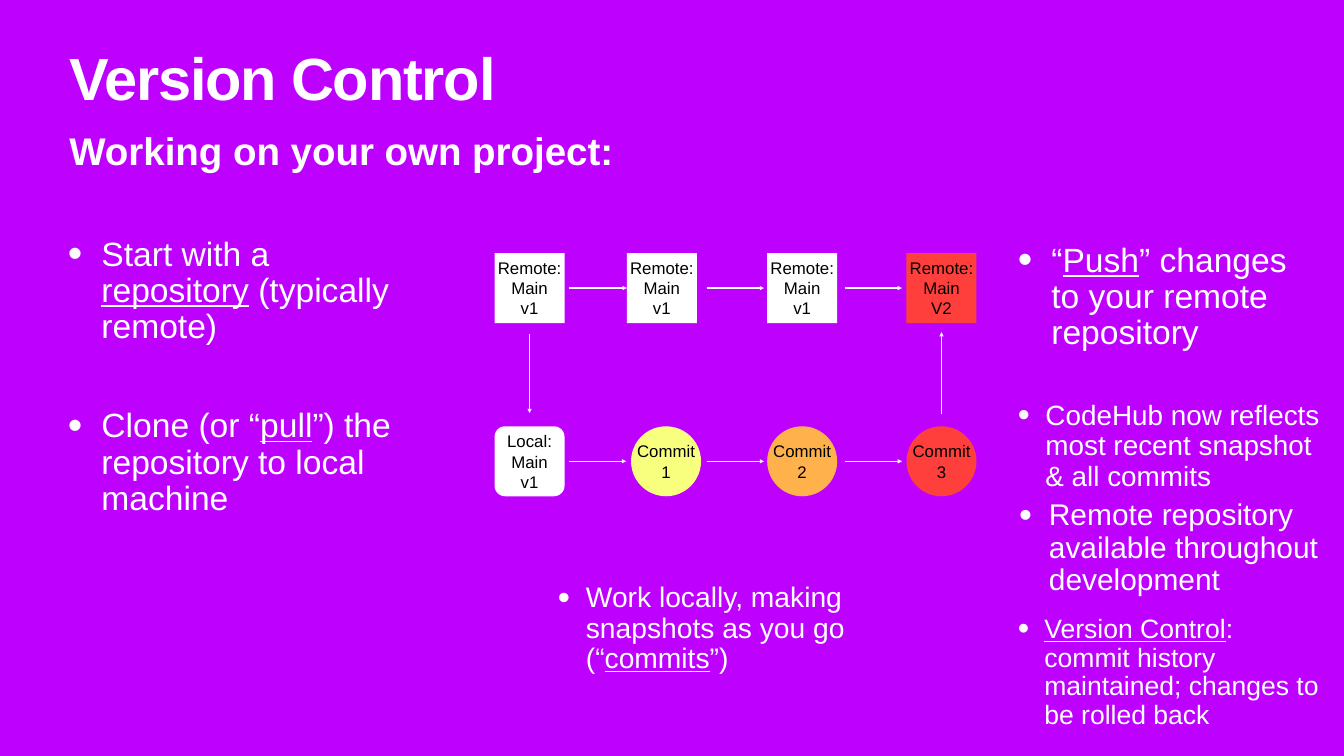
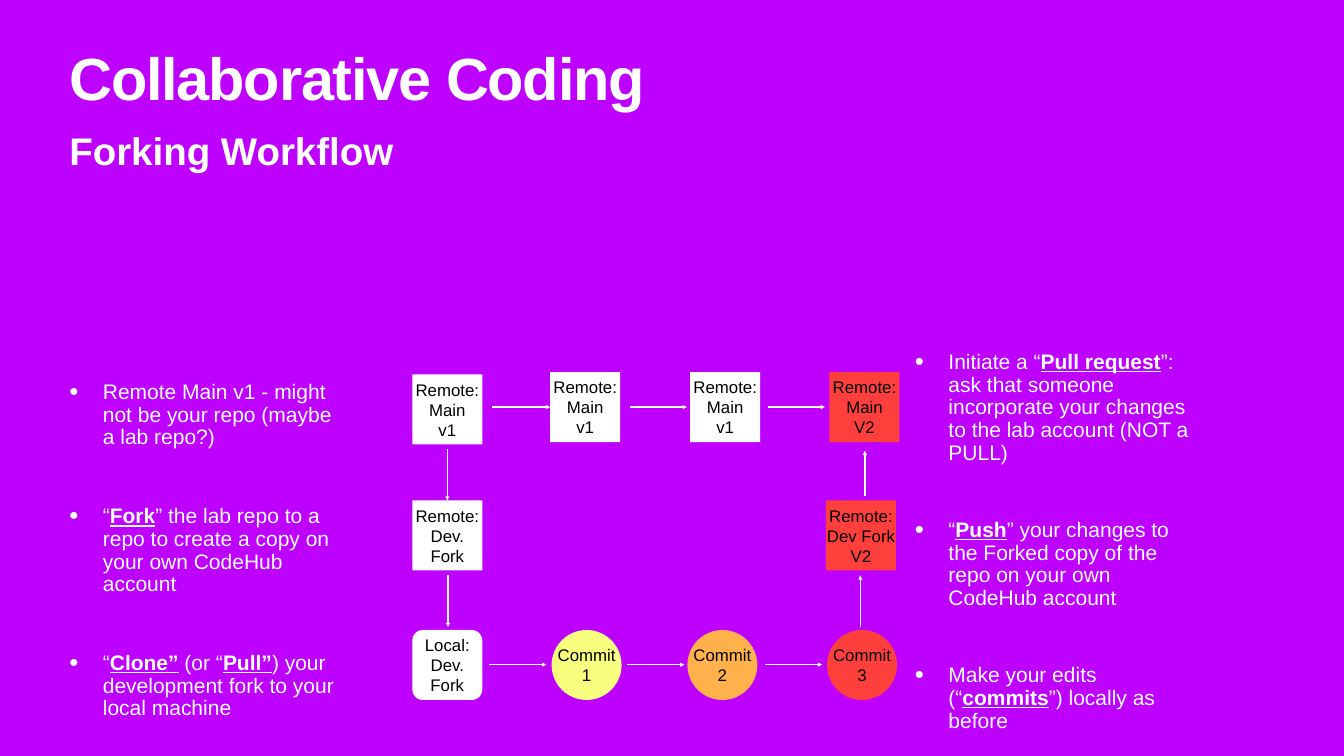
import pptx
import pptx.util
from lxml import etree
from pptx.dml.color import RGBColor
from pptx.enum.shapes import MSO_CONNECTOR, MSO_SHAPE
from pptx.enum.text import MSO_ANCHOR, PP_ALIGN
from pptx.oxml.ns import qn

Pt = pptx.util.Pt

PURPLE = RGBColor(0xBE, 0x00, 0xFF)
WHITE = RGBColor(0xFF, 0xFF, 0xFF)
BLACK = RGBColor(0x00, 0x00, 0x00)
YELLOW = RGBColor(0xF8, 0xFF, 0x7F)
ORANGE = RGBColor(0xFF, 0xB1, 0x4C)
RED = RGBColor(0xFF, 0x3F, 0x3C)
FONT = "Arial"
INSET = Pt(4)
NODE_SIZE = 100
ARROW_LENGTH = 81.5
ARROW_PITCH = 197

SQUARE = MSO_SHAPE.RECTANGLE
ROUNDED = MSO_SHAPE.ROUNDED_RECTANGLE
CIRCLE = MSO_SHAPE.OVAL


def set_font(paragraph, size, color, bold=False):
    paragraph.font.name = FONT
    paragraph.font.size = Pt(size)
    paragraph.font.bold = bold
    paragraph.font.color.rgb = color


def set_frame(frame, wrap=True, anchor=MSO_ANCHOR.TOP):
    frame.word_wrap = wrap
    frame.vertical_anchor = anchor
    frame.margin_left = frame.margin_right = INSET
    frame.margin_top = frame.margin_bottom = INSET


# Content. Nodes: shape, left, top, fill, label.
# Row arrows: first left, y, index of the node the first arrow touches.
# Vertical arrows: x, from y, to y, index of the node it touches.
# Notes: left, top, width, height, size, indent, gap, paragraphs;
# underscores enclose the underlined key terms.
lessons = [
    {
        "title": "Version Control",
        "subtitle": "Working on your own project:",
        "nodes": [
            (SQUARE, 706.5, 361.5, WHITE, "Remote:\nMain\nv1"),
            (SQUARE, 895.5, 361.5, WHITE, "Remote:\nMain\nv1"),
            (SQUARE, 1096, 361.5, WHITE, "Remote:\nMain\nv1"),
            (SQUARE, 1295, 361.5, RED, "Remote:\nMain\nV2"),
            (ROUNDED, 706.5, 609, WHITE, "Local:\nMain\nv1"),
            (CIRCLE, 901.5, 609, YELLOW, "Commit\n1"),
            (CIRCLE, 1096, 609, ORANGE, "Commit\n2"),
            (CIRCLE, 1295, 609, RED, "Commit\n3"),
        ],
        "row_arrows": [(813, 411.5, 1), (813, 659, None)],
        "vertical_arrows": [(756.5, 477, 590, None), (1345, 592, 474.5, None)],
        "bold_terms": False,
        "notes": [
            (93, 335, 515, 194, 48, 48, 0,
             ["Start with a _repository_ (typically remote)"]),
            (93, 580, 515, 166, 48, 48, 0,
             ["Clone (or “_pull_”) the repository to local machine"]),
            (1450, 343.5, 440, 177, 48, 48, 0,
             ["“_Push_” changes to your remote repository"]),
            (1450, 570, 440, 177, 39.8, 39.5, 0,
             ["CodeHub now reflects most recent snapshot & all commits"]),
            (1452, 710.5, 440, 177, 42.7, 42.5, 0,
             ["Remote repository available throughout development"]),
            (1450, 875.5, 440, 177, 37.9, 38, 0,
             ["_Version Control_: commit history maintained; "
              "changes to be rolled back"]),
            (793, 829.5, 515, 143, 40.3, 40, 0,
             ["Work locally, making snapshots as you go (“_commits_”)"]),
        ],
    },
    {
        "title": "Collaborative Coding",
        "subtitle": "Forking Workflow",
        "nodes": [
            (SQUARE, 589, 535, WHITE, "Remote:\nMain\nv1"),
            (SQUARE, 786, 531.5, WHITE, "Remote:\nMain\nv1"),
            (SQUARE, 986, 531.5, WHITE, "Remote:\nMain\nv1"),
            (SQUARE, 1185, 531.5, RED, "Remote:\nMain\nV2"),
            (SQUARE, 589, 715, WHITE, "Remote:\nDev.\nFork"),
            (SQUARE, 1180, 715, RED, "Remote:\nDev Fork\nV2"),
            (ROUNDED, 589, 900, WHITE, "Local:\nDev.\nFork"),
            (CIRCLE, 788, 900, YELLOW, "Commit\n1"),
            (CIRCLE, 982, 900, ORANGE, "Commit\n2"),
            (CIRCLE, 1181.5, 900, RED, "Commit\n3"),
        ],
        "row_arrows": [(703, 581.5, 1), (699, 949.5, None)],
        "vertical_arrows": [
            (639, 641.5, 715, 4),
            (640, 822, 896, None),
            (1229, 896, 822, None),
            (1235.5, 708, 644, None),
        ],
        "bold_terms": True,
        "notes": [
            (95, 541, 402, 500, 30, 48, 80,
             ["Remote Main v1 - might not be your repo (maybe a lab repo?)",
              "“_Fork_” the lab repo to a repo to create a copy on your own "
              "CodeHub account",
              "“_Clone”_ (or “_Pull”_) your development fork to your "
              "local machine"]),
            (1303, 498, 402, 560, 30, 48, 78,
             ["Initiate a “_Pull request_”: ask that someone incorporate "
              "your changes to the lab account (NOT a PULL)",
              "“_Push_” your changes to the Forked copy of the repo on your "
              "own CodeHub account",
              "Make your edits (“_commits_”) locally as before"]),
        ],
    },
]

presentation = pptx.Presentation()
presentation.slide_width = Pt(1920)
presentation.slide_height = Pt(1080)
background = presentation.slide_master.background.fill
background.solid()
background.fore_color.rgb = PURPLE
title_only = presentation.slide_layouts[5]

for lesson in lessons:
    slide = presentation.slides.add_slide(title_only)

    # Title and subtitle
    title = slide.shapes.title
    title.left, title.top, title.width, title.height = (
        Pt(95), Pt(75), Pt(1730), Pt(113))
    subtitle = slide.shapes.add_textbox(Pt(95), Pt(177), Pt(1730), Pt(73))
    for heading, text, size in ((title, lesson["title"], 85),
                                (subtitle, lesson["subtitle"], 55)):
        set_frame(heading.text_frame)
        heading.text_frame.text = text
        paragraph = heading.text_frame.paragraphs[0]
        paragraph.alignment = PP_ALIGN.LEFT
        set_font(paragraph, size, WHITE, bold=True)
    title_line = title.text_frame.paragraphs[0]
    title_line.line_spacing = 0.8
    title_line.runs[0]._r.get_or_add_rPr().set("spc", "-170")

    # Repository versions and commits
    nodes = []
    for kind, left, top, fill, label in lesson["nodes"]:
        node = slide.shapes.add_shape(
            kind, Pt(left), Pt(top), Pt(NODE_SIZE), Pt(NODE_SIZE))
        node.shadow.inherit = False
        node.fill.solid()
        node.fill.fore_color.rgb = fill
        node.line.fill.background()
        if kind == ROUNDED:
            node.adjustments[0] = 0.15
        set_frame(node.text_frame, wrap=False, anchor=MSO_ANCHOR.MIDDLE)
        node.text_frame.text = label
        for paragraph in node.text_frame.paragraphs:
            paragraph.alignment = PP_ALIGN.CENTER
            set_font(paragraph, 24, BLACK)
        nodes.append(node)

    # Arrows: three per row, then the vertical ones
    arrows = []
    for first_left, y, touched in lesson["row_arrows"]:
        for step in range(3):
            left = first_left + step * ARROW_PITCH
            target = touched if step == 0 else None
            arrows.append((left, y, left + ARROW_LENGTH, y, target, 1))
    for x, from_y, to_y, target in lesson["vertical_arrows"]:
        arrows.append((x, from_y, x, to_y, target, 0))
    for from_x, from_y, to_x, to_y, target, side in arrows:
        arrow = slide.shapes.add_connector(
            MSO_CONNECTOR.STRAIGHT, Pt(from_x), Pt(from_y), Pt(to_x), Pt(to_y))
        if target is not None:
            arrow.end_connect(nodes[target], side)
        arrow.line.color.rgb = WHITE
        arrow.line.width = Pt(2)
        line = arrow.line._get_or_add_ln()
        etree.SubElement(line, qn("a:tailEnd"), type="triangle")
        etree.SubElement(arrow._element.spPr, qn("a:effectLst"))

    # Bulleted notes
    for left, top, width, height, size, indent, gap, texts in lesson["notes"]:
        note = slide.shapes.add_textbox(
            Pt(left), Pt(top), Pt(width), Pt(height))
        frame = note.text_frame
        set_frame(frame)
        for number, text in enumerate(texts):
            paragraph = frame.add_paragraph() if number else frame.paragraphs[0]
            properties = paragraph._p.get_or_add_pPr()
            properties.set("marL", str(Pt(indent)))
            properties.set("indent", str(-Pt(indent)))
            etree.SubElement(properties, qn("a:buSzPct"), val="123000")
            etree.SubElement(properties, qn("a:buFont"), typeface=FONT)
            etree.SubElement(properties, qn("a:buChar"), char="•")
            paragraph.line_spacing = 0.9
            if number:
                paragraph.space_before = Pt(gap)
            set_font(paragraph, size, WHITE)
            for index, part in enumerate(text.split("_")):
                if not part:
                    continue
                run = paragraph.add_run()
                run.text = part
                if index % 2:
                    run.font.underline = True
                    if lesson["bold_terms"]:
                        run.font.bold = True

presentation.save("out.pptx")
